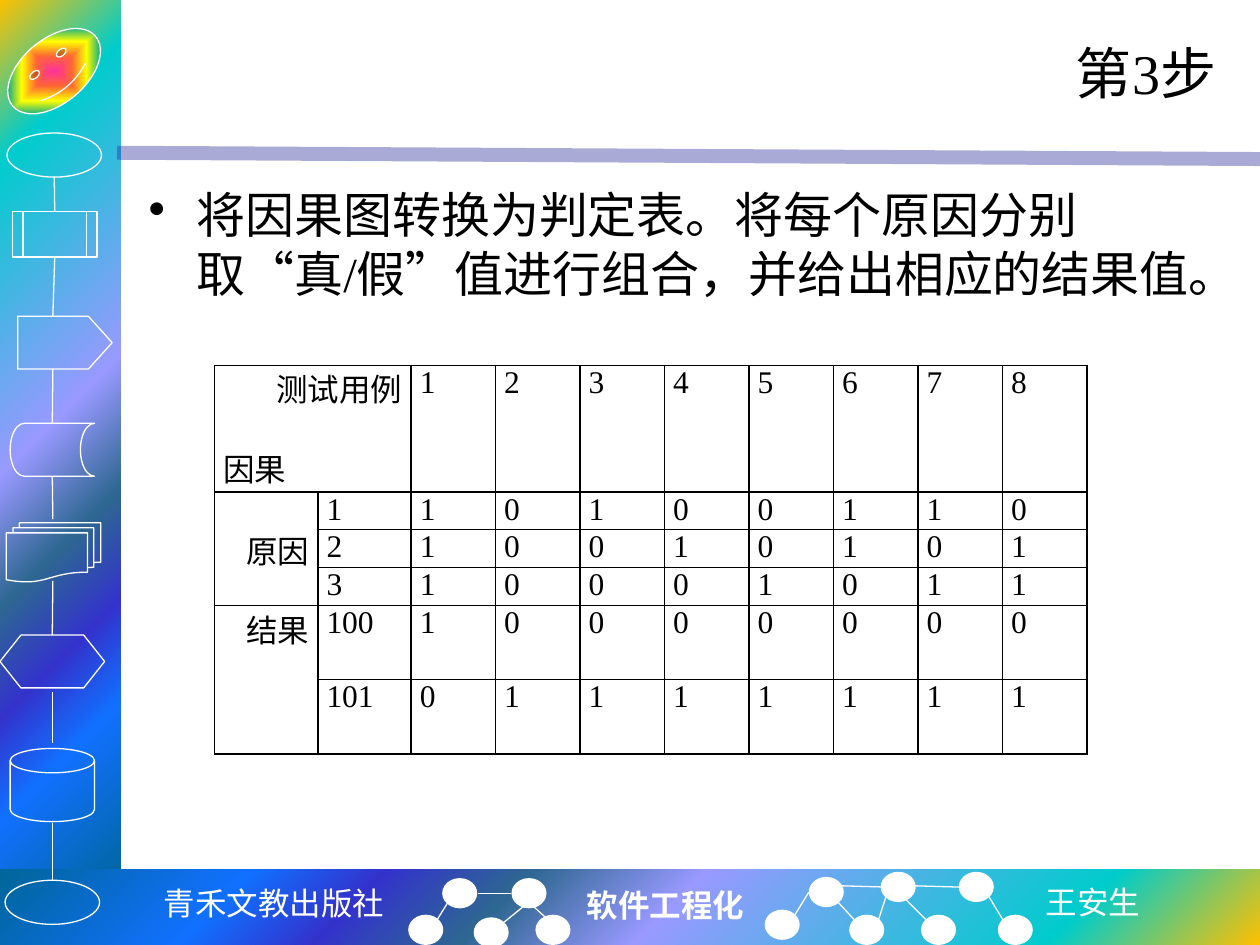
from dataclasses import dataclass

from lxml import etree
from pptx import Presentation
from pptx.dml.color import RGBColor
from pptx.enum import shapes, text
from pptx.oxml import ns
from pptx.util import Pt

GEO = shapes.MSO_SHAPE
ALIGN = text.PP_ALIGN
TOP, BOTTOM = 0, 2


@dataclass
class Theme:
    ink: str = "000000"
    light: str = "FFFFFF"
    rule: str = "262699"
    rainbow: tuple = ((0, "FFC000"), (16, "00CCCC"), (47, "9999FF"), (60, "2E6792"),
                      (71, "3333CC"), (81, "1170FF"), (100, "006699"))
    emblem: tuple = ((0, "FF3399"), (25, "FF6633"), (50, "FFFF00"),
                     (75, "01A78F"), (100, "3366FF"))
    font: str = "Times New Roman"
    asian: str = "Noto Sans CJK SC"
    mono: str = "Noto Sans Mono"
    title: float = 32
    body: float = 28
    small: float = 18
    hairline: float = 0.75


def sub(parent, tag, **attrs):
    el = etree.SubElement(parent, ns.qn(tag))
    for name, value in attrs.items():
        el.set(name, str(value))
    return el


class Deck:
    def __init__(self, theme):
        self.theme = theme
        self.prs = Presentation()
        self.prs.slide_width, self.prs.slide_height = Pt(720), Pt(540)
        self.slide = self.prs.slides.add_slide(self.prs.slide_layouts[6])

    def shape(self, kind, x, y, w, h, fill=None, line=None):
        sp = self.slide.shapes.add_shape(kind, Pt(x), Pt(y), Pt(w), Pt(h))
        sp.shadow.inherit = False
        if fill:
            sp.fill.solid()
            sp.fill.fore_color.rgb = RGBColor.from_string(fill)
        else:
            sp.fill.background()
        if line:
            sp.line.color.rgb = RGBColor.from_string(line)
            sp.line.width = Pt(self.theme.hairline)
        else:
            sp.line.fill.background()
        return sp

    def gradient(self, sp, stops, path, focus):
        """Path gradient; focus holds left, top, right, bottom in percent."""
        old = sp._element.spPr.find(ns.qn("a:noFill"))
        grad = etree.Element(ns.qn("a:gradFill"), rotWithShape="1")
        gs_list = sub(grad, "a:gsLst")
        for pos, color in stops:
            sub(sub(gs_list, "a:gs", pos=pos * 1000), "a:srgbClr", val=color)
        sides = {side: pct * 1000 for side, pct in zip("ltrb", focus)}
        sub(sub(grad, "a:path", path=path), "a:fillToRect", **sides)
        old.getparent().replace(old, grad)

    def line(self, x1, y1, x2, y2, color=None, width=None, alpha=None, start=None, end=None):
        cx = self.slide.shapes.add_connector(
            shapes.MSO_CONNECTOR.STRAIGHT, Pt(x1), Pt(y1), Pt(x2), Pt(y2))
        cx.line.color.rgb = RGBColor.from_string(color or self.theme.light)
        cx.line.width = Pt(width or self.theme.hairline)
        if alpha:
            clr = cx._element.spPr.find(".//" + ns.qn("a:srgbClr"))
            sub(clr, "a:alpha", val=alpha * 1000)
        sub(cx._element.spPr, "a:effectLst")
        if start:
            cx.begin_connect(start, BOTTOM)
        if end:
            cx.end_connect(end, TOP)

    def style(self, p, size, color, font=None, bold=False, align=ALIGN.LEFT):
        p.alignment = align
        for r in p.runs:
            r.font.size, r.font.bold = Pt(size), bold
            r.font.name = font or self.theme.font
            r.font.color.rgb = RGBColor.from_string(color)
            rpr = r._r.get_or_add_rPr()
            rpr.set("lang", "zh-CN")
            sub(rpr, "a:ea", typeface=self.theme.asian)

    def text(self, words, x, y, w, h, size, color, wrap=True, anchor=text.MSO_ANCHOR.TOP,
             bullet=False, **look):
        sp = self.slide.shapes.add_textbox(Pt(x), Pt(y), Pt(w), Pt(h))
        tf = sp.text_frame
        tf.word_wrap, tf.vertical_anchor = wrap, anchor
        if not wrap:
            tf.auto_size = text.MSO_AUTO_SIZE.SHAPE_TO_FIT_TEXT
        tf.text = words
        p = tf.paragraphs[0]
        if bullet:
            ppr = p._p.get_or_add_pPr()
            ppr.set("marL", str(Pt(27.4)))
            ppr.set("indent", str(-Pt(27.4)))
            sub(ppr, "a:buChar", char="•")
        self.style(p, size, color, **look)

    def cell(self, cell, words, align=ALIGN.LEFT, top=0):
        cell.margin_left = cell.margin_right = Pt(5)
        cell.margin_top, cell.margin_bottom = Pt(top), 0
        cell.text_frame.text = words
        for p in cell.text_frame.paragraphs:
            self.style(p, self.theme.small, self.theme.ink, align=align)
        tcpr = cell._tc.get_or_add_tcPr()
        for old in list(tcpr):
            tcpr.remove(old)
        for side in "LRTB":
            ln = sub(tcpr, "a:ln" + side, w=Pt(1))
            sub(sub(ln, "a:solidFill"), "a:srgbClr", val=self.theme.ink)
        cell.fill.background()

    def table(self, x, y, widths, heights):
        frame = self.slide.shapes.add_table(
            len(heights), len(widths), Pt(x), Pt(y), Pt(sum(widths)), Pt(sum(heights)))
        tbl = frame.table
        tbl.first_row = tbl.horz_banding = False
        for col, w in zip(tbl.columns, widths):
            col.width = Pt(w)
        for row, h in zip(tbl.rows, heights):
            row.height = Pt(h)
        return tbl


def draw_frame(d):
    t = d.theme
    # Coloured bands and rule
    side = d.shape(GEO.RECTANGLE, 0, 0, 69, 510.5)
    d.gradient(side, t.rainbow, "circle", (0, 0, 100, 100))
    foot = d.shape(GEO.RECTANGLE, 0, 496.8, 720, 43.2)
    d.gradient(foot, t.rainbow, "circle", (100, 100, 0, 0))
    d.line(67, 87.3, 720, 90.9, t.rule, 8, 39)

    # Emblem
    emblem = d.shape(GEO.SMILEY_FACE, 0, 22.3, 61.9, 36.7, line=t.light)
    emblem.adjustments[0] = 0.047
    emblem.rotation = -40
    d.gradient(emblem, t.emblem, "shape", (50, 50, 50, 50))

    # Flowchart down the side band
    def step(kind, *box):
        return d.shape(kind, *box, line=t.light)

    step(GEO.OVAL, 4, 76, 54, 25.2)
    process = step(GEO.FLOWCHART_PREDEFINED_PROCESS, 7.2, 121, 48.2, 25.9)
    step(GEO.PENTAGON, 10.1, 180.7, 54, 30.2).adjustments[0] = 0.45
    storage = step(GEO.FLOWCHART_STORED_DATA, 5.8, 241.9, 48.2, 30.2)
    step(GEO.FLOWCHART_MULTIDOCUMENT, 3.6, 298.8, 54, 33.8)
    preparation = step(GEO.FLOWCHART_PREPARATION, 0, 362.9, 59.8, 30.2)
    step(GEO.FLOWCHART_MAGNETIC_DISK, 5.8, 427.7, 48.2, 41.8)
    step(GEO.OVAL, 2.9, 503, 54, 25.2)
    for x1, y1, x2, y2, start, end in (
            (31, 100.8, 31, 121, None, process), (31, 147, 30.2, 180.7, process, None),
            (30.2, 211, 30.2, 241.9, None, storage), (30.2, 272.1, 30.2, 296.6, storage, None),
            (30.2, 331.9, 30.2, 362.9, None, preparation),
            (30.2, 395.3, 30.2, 424.8, None, None), (30.2, 470.2, 30.2, 503.3, None, None)):
        d.line(x1, y1, x2, y2, start=start, end=end)

    # Trees in the footer
    for x, y in ((252.7, 501.8), (292.3, 501.8), (233.3, 522.7), (270.7, 524.2),
                 (306, 522.7), (437, 519.8), (462.2, 501.1), (485.3, 522.7),
                 (503.3, 498.2), (526.3, 522.7), (547.9, 498.2), (570.2, 522.7)):
        d.shape(GEO.OVAL, x, y, 20, 17.3, fill=t.light)
    for ends in ((249.8, 525.6, 255.6, 516.2), (288, 527, 299.5, 517.7),
                 (292.3, 510.5, 272.9, 510.5), (312.5, 524.9, 305.3, 518.4),
                 (454.3, 522.7, 462.2, 509.8), (481, 506.2, 506.2, 506.9),
                 (488.2, 525.6, 478.8, 515.5), (501.8, 526.3, 506.2, 512.6),
                 (529.2, 525.6, 514.8, 511.2), (522.7, 506.2, 547.9, 506.9),
                 (573.1, 525.6, 565.2, 512.6)):
        d.line(*ends)

    # Footer wording
    d.text("青禾文教出版社", 85.7, 501.8, 141.8, 28.8, t.small, t.light, wrap=False,
           font=t.mono, align=ALIGN.CENTER)
    d.text("软件工程化", 328.3, 502.6, 105.1, 28.8, t.small, t.light, wrap=False, bold=True)
    d.text("王安生", 590.4, 501.1, 69.1, 28.8, t.small, t.light, wrap=False, font=t.asian)


def draw_content(d):
    t = d.theme
    # Title and body
    d.text("第3步", 90, 12.2, 612, 58.3, t.title, t.ink,
           anchor=text.MSO_ANCHOR.MIDDLE, align=ALIGN.RIGHT)
    d.text("将因果图转换为判定表。将每个原因分别取“真/假”值进行组合，并给出相应的结果值。",
           77.8, 102.2, 630, 84.2, t.body, t.ink, bullet=True)

    # Decision table
    tbl = d.table(122.6, 208.8, [59, 53.3] + [48.3] * 8, [72.3] + [21.2] * 3 + [42.4] * 2)
    rows = (("", "12345678"), ("1", "10100110"), ("2", "10010101"),
            ("3", "10001011"), ("100", "10000000"), ("101", "01111111"))
    for i, (label, values) in enumerate(rows):
        for j, words in enumerate(["", label, *values]):
            d.cell(tbl.cell(i, j), words)
    for first, last, words, top in (((0, 0), (0, 1), "测试用例\n因果", 0),
                                    ((1, 0), (3, 0), "原因", 20),
                                    ((4, 0), (5, 0), "结果", 0)):
        tbl.cell(*first).merge(tbl.cell(*last))
        d.cell(tbl.cell(*first), words, ALIGN.RIGHT, top)
    corner = tbl.cell(0, 0).text_frame.paragraphs[1]
    corner.alignment = ALIGN.JUSTIFY
    corner.space_before = Pt(19.5)


def main():
    d = Deck(Theme())
    draw_frame(d)
    draw_content(d)
    d.prs.save("out.pptx")


if __name__ == "__main__":
    main()
